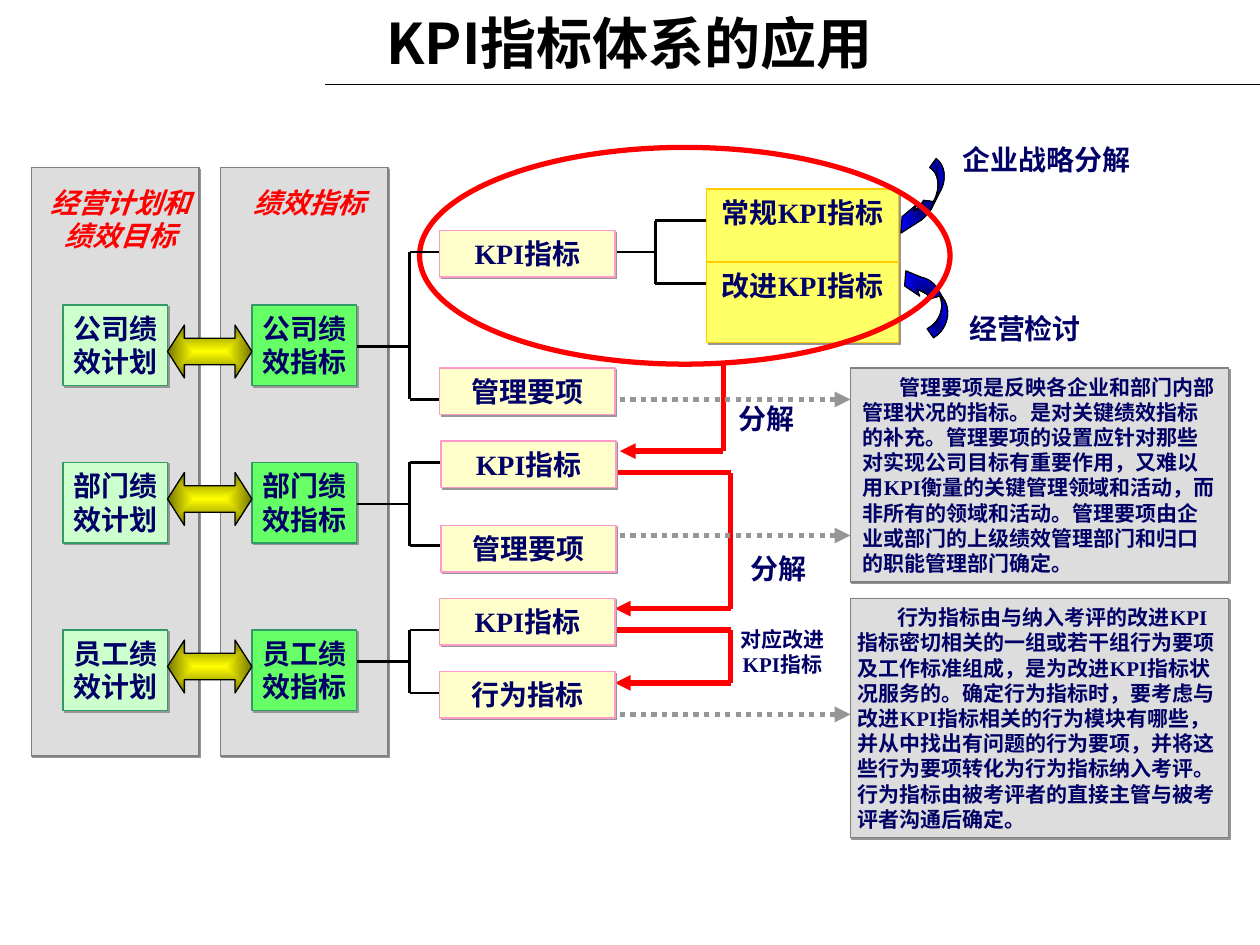
from itertools import pairwise

from lxml.etree import SubElement
from pptx import Presentation
from pptx.dml.color import RGBColor
from pptx.enum.dml import MSO_LINE
from pptx.enum.shapes import MSO_CONNECTOR, MSO_SHAPE
from pptx.enum.text import MSO_ANCHOR, PP_ALIGN
from pptx.oxml import parse_xml
from pptx.oxml.ns import nsdecls, qn
from pptx.util import Pt

PX = 9144  # 100 px to the inch
SERIF, SANS = "Times New Roman", "Noto Sans CJK SC"
C = {
    "black": "000000", "navy": "000066", "red": "FF0000", "panel": "DDDDDD",
    "panel_line": "808080", "shadow": "969696", "plan": "CCFFCC",
    "result": "66FF66", "green_line": "339966", "item": "FFFFCC",
    "item_line": "FF99CC", "kpi": "FFFF66", "kpi_line": "FFCC00",
    "gold": "FFFF00", "gold_dark": "757500", "blue": "0000FF", "blue_dark": "000075",
}
LEVELS = [("公司", 109), ("部门", 234), ("员工", 367)]

prs = Presentation()
prs.slide_width, prs.slide_height = 1000 * PX, 750 * PX
s = prs.slides.add_slide(prs.slide_layouts[6])


def rgb(name):
    return RGBColor.from_string(C[name])


def write(sp, text, size=16, color="navy", font=SERIF, italic=False,
          align=PP_ALIGN.CENTER, inset=10, indent=0, anchor=MSO_ANCHOR.TOP):
    tf = sp.text_frame
    tf.word_wrap = True
    tf.vertical_anchor = anchor
    tf.margin_left = tf.margin_right = inset * PX
    tf.margin_top = tf.margin_bottom = 5 * PX
    p = tf.paragraphs[0]
    p.text = text
    p.alignment = align
    if font == SERIF:
        p.line_spacing = Pt(size * 1.2)
    if indent:
        p._p.get_or_add_pPr().set("indent", str(indent * PX))
    f = p.runs[0].font
    f.size, f.bold, f.italic, f.name = Pt(size), True, italic, font
    f.color.rgb = rgb(color)
    SubElement(p.runs[0]._r.get_or_add_rPr(), qn("a:ea"), typeface=SANS)


def label(x, y, w, h, text, **style):
    write(s.shapes.add_textbox(x * PX, y * PX, w * PX, h * PX), text, **style)


def box(x, y, w, h, fill, line, text=None, **style):
    """Rectangle with a hard shadow to the lower right."""
    sp = s.shapes.add_shape(MSO_SHAPE.RECTANGLE, x * PX, y * PX, w * PX, h * PX)
    sp.fill.solid()
    sp.fill.fore_color.rgb = rgb(fill)
    sp.line.color.rgb = rgb(line)
    sp.line.width = Pt(0.75)
    sp._element.spPr.append(parse_xml(
        f'<a:effectLst {nsdecls("a")}><a:outerShdw dist="17780" dir="2700000" '
        f'algn="ctr" rotWithShape="0"><a:srgbClr val="{C["shadow"]}"/>'
        '</a:outerShdw></a:effectLst>'))
    if text:
        write(sp, text, **style)


def path(*points, color="black", width=1.5, arrow=False, dotted=False):
    """Straight connectors through the points, with an optional arrowhead at the end."""
    for a, b in pairwise(points):
        cn = s.shapes.add_connector(MSO_CONNECTOR.STRAIGHT, *(v * PX for v in a + b))
        cn.line.color.rgb = rgb(color)
        cn.line.width = Pt(width)
        if dotted:
            cn.line.dash_style = MSO_LINE.ROUND_DOT
        if arrow and b == points[-1]:
            SubElement(cn.line._get_or_add_ln(), qn("a:tailEnd"), type="triangle")
        SubElement(cn._element.spPr, qn("a:effectLst"))


def center_gradient(sp, inner, outer):
    sp.shadow.inherit = False
    sp.line.color.rgb = rgb("black")
    sp.line.width = Pt(0.75)
    sp._element.spPr.find(qn("a:ln")).addprevious(parse_xml(
        f'<a:gradFill {nsdecls("a")} rotWithShape="1"><a:gsLst>'
        f'<a:gs pos="0"><a:srgbClr val="{C[inner]}"/></a:gs>'
        f'<a:gs pos="100000"><a:srgbClr val="{C[outer]}"/></a:gs></a:gsLst>'
        '<a:path path="rect"><a:fillToRect l="50000" t="50000" r="50000" b="50000"/>'
        '</a:path></a:gradFill>'))


def ribbon(x, y, start, *steps):
    """Outline of points (x, y) and cubic curves (three points), offset by x, y."""
    points = [start]
    for step in steps:
        if isinstance(step[0], int):
            points.append(step)
            continue
        a, (b, c, d) = points[-1], step
        for t in (i / 8 for i in range(1, 9)):
            u = 1 - t
            points.append(tuple(
                u**3 * a[k] + 3 * u * u * t * b[k] + 3 * u * t * t * c[k] + t**3 * d[k]
                for k in (0, 1)))
    points = [((x + px) * PX, (y + py) * PX) for px, py in points]
    fb = s.shapes.build_freeform(*points[0])
    fb.add_line_segments(points[1:], close=True)
    center_gradient(fb.convert_to_shape(), "blue_dark", "blue")


def title(x, y, w, h):
    path((x + 183, y + h), (x + 925, y + h), width=0.75)
    label(x, y, w, h, "KPI指标体系的应用", size=32, color="black", font=SANS,
          anchor=MSO_ANCHOR.MIDDLE)


def column(x, y, heading, suffix, fill):
    box(x, y, 133, 467, "panel", "panel_line")
    label(x + 8, y + 9, 125, 64, heading, color="red", italic=True, inset=6)
    for level, dy in LEVELS:
        box(x + 25, y + dy, 83, 64, fill, "green_line", level + suffix, inset=6)


def exchange_arrows(x, y):
    for top in (125, 242, 375):
        sp = s.shapes.add_shape(MSO_SHAPE.LEFT_RIGHT_ARROW, x * PX, (y + top) * PX,
                                67 * PX, 42 * PX)
        sp.adjustments[0], sp.adjustments[1] = 0.5, 0.319
        center_gradient(sp, "gold", "gold_dark")


def bracket(x, mid, joint, end, y, tops):
    path((joint, tops[0]), (joint, tops[1]))
    path((x, y), (joint, y))
    for top in tops:
        path((joint, top), (end, top))


def kpi_kinds(x, y):
    bracket(x, y + 50, x + 32, x + 72, y + 50, (y + 25, y + 75))
    for dy, kind in ((0, "常规"), (58, "改进")):
        box(x + 73, y + dy, 152, 64, "kpi", "kpi_line", kind + "KPI指标")


def kpi_sources(x, y):
    ribbon(x, y, (28, 18), ((35, 23), (37, 35), (30, 46)), (24, 58),
           ((21, 62), (18, 66), (14, 68)), (0, 77), (1, 64), (13, 54), (10, 60),
           ((13, 58), (16, 55), (18, 51)), (26, 52), ((32, 41), (30, 29), (23, 25)))
    ribbon(x, y, (28, 18), ((35, 23), (37, 35), (30, 46)), (24, 58), (24, 56),
           (26, 52), ((32, 41), (30, 29), (23, 25)))
    ribbon(x, y, (26, 160), ((36, 154), (40, 141), (35, 131)), (29, 121),
           ((26, 116), (21, 113), (16, 112)), (4, 107), (3, 119), (15, 127), (13, 122),
           ((17, 123), (22, 126), (24, 129)), (31, 127), ((35, 136), (31, 148), (21, 153)))
    ribbon(x, y, (26, 160), ((36, 154), (40, 141), (35, 131)), (33, 129), (31, 127),
           ((35, 136), (31, 148), (21, 153)))
    label(x + 32, y, 167, 37, "企业战略分解")
    label(x + 40, y + 134, 117, 37, "经营检讨")


def focus_ring(x, y, w, h):
    sp = s.shapes.add_shape(MSO_SHAPE.OVAL, x * PX, y * PX, w * PX, h * PX)
    sp.shadow.inherit = False
    sp.fill.background()
    sp.line.color.rgb = rgb("red")
    sp.line.width = Pt(3)


def breakdown_flow(x, y):
    """Red arrows that pass the indicators down from level to level."""
    red = {"color": "red", "width": 3, "arrow": True}
    path((x + 86, y), (x + 86, y + 71), (x + 4, y + 71), **red)
    label(x + 86, y + 27, 69, 37, "分解")
    for top, bottom in ((88, 196), (213, 255)):
        path((x, y + top), (x + 92, y + top), (x + 92, y + bottom), (x, y + bottom), **red)
    label(x + 92, y + 146, 75, 37, "分解")
    label(x + 83, y + 205, 100, 50, "对应改进KPI指标", size=12)


def note(x, y, h, text, inset, indent, sources):
    for top in sources:
        path((x - 183, top), (x, top), color="shadow", width=3, arrow=True, dotted=True)
    box(x, y, 300, h, "panel", "panel_line", text, size=12, align=PP_ALIGN.LEFT,
        inset=inset, indent=indent)


def level_items(x, y, tops, boxes):
    bracket(x, y, x + 42, x + 66, y, tops)
    for left, top, text in boxes:
        box(x + left, top, 139, 37, "item", "item_line", text)


title(75, 0, 850, 67)
column(25, 133, "经营计划和绩效目标", "绩效计划", "plan")
kpi_kinds(488, 150)
kpi_sources(715, 108)
focus_ring(333, 117, 421, 172)
breakdown_flow(488, 287)
note(675, 292, 170,
     "管理要项是反映各企业和部门内部管理状况的指标。是对关键绩效指标的补充。"
     "管理要项的设置应针对那些对实现公司目标有重要作用，又难以用KPI衡量的关键管理领域和活动，"
     "而非所有的领域和活动。管理要项由企业或部门的上级绩效管理部门和归口的职能管理部门确定。",
     10, 29, (317, 425))
note(675, 475, 190,
     "行为指标由与纳入考评的改进KPI指标密切相关的一组或若干组行为要项及工作标准组成，"
     "是为改进KPI指标状况服务的。确定行为指标时，要考虑与改进KPI指标相关的行为模块有哪些，"
     "并从中找出有问题的行为要项，并将这些行为要项转化为行为指标纳入考评。"
     "行为指标由被考评者的直接主管与被考评者沟通后确定。",
     6, 31, (567,))
column(175, 133, "绩效指标", "绩效指标", "result")
exchange_arrows(133, 133)
level_items(283, 275, (200, 317), ((66, 183, "KPI指标"), (66, 292, "管理要项")))
level_items(283, 400, (367, 433), ((67, 350, "KPI指标"), (67, 417, "管理要项")))
level_items(283, 525, (500, 550), ((66, 475, "KPI指标"), (66, 533, "行为指标")))

prs.save("out.pptx")
